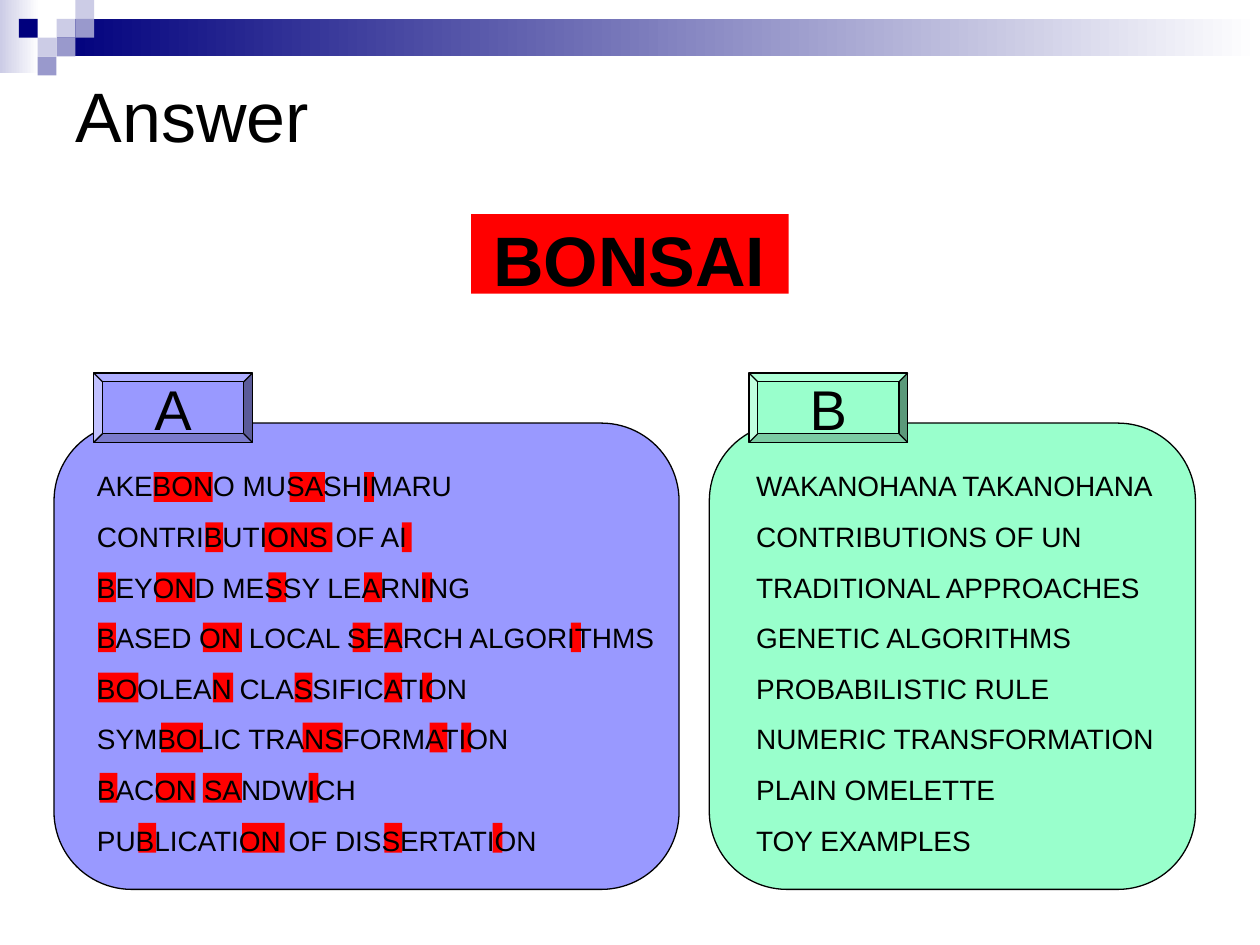
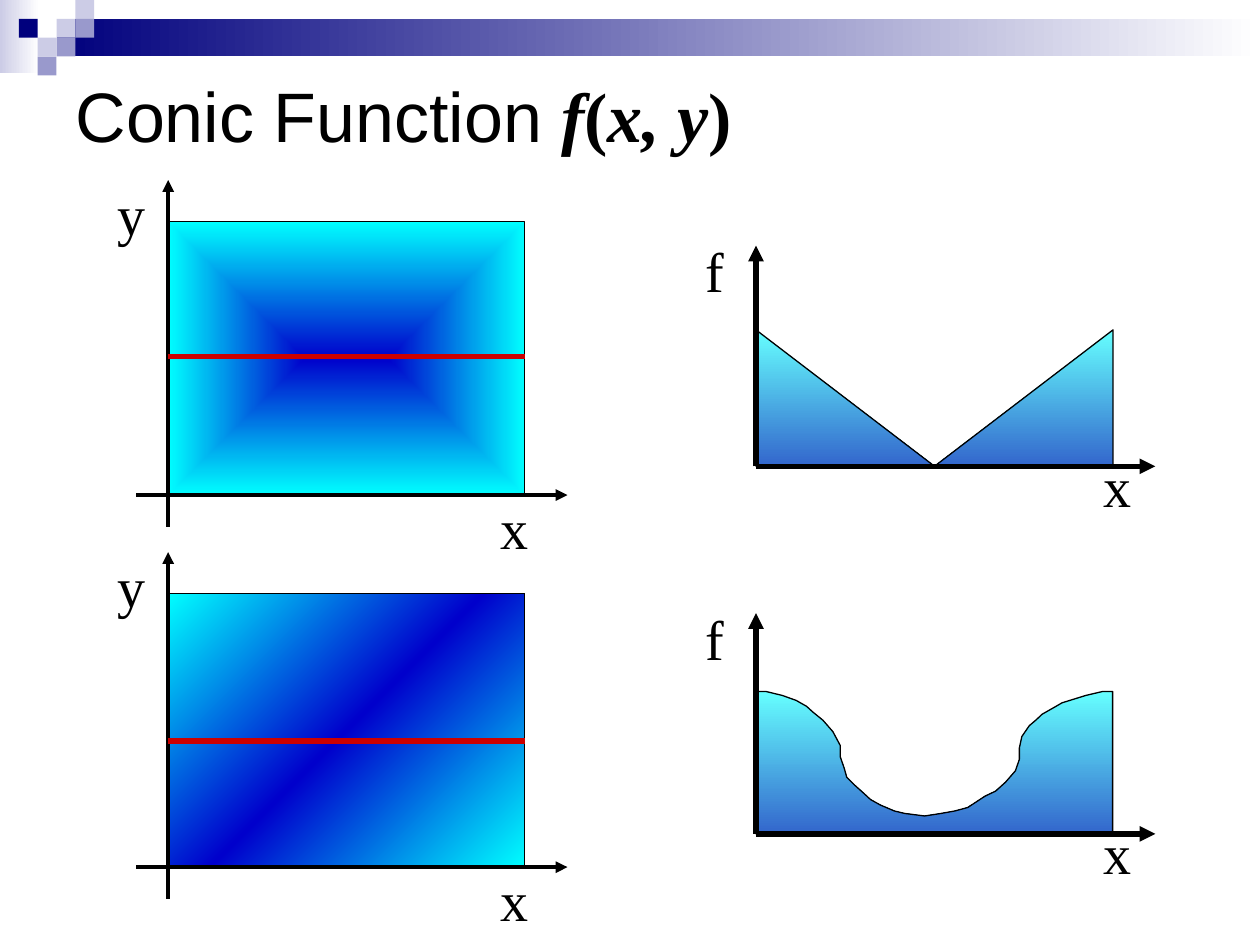
import pptx
import pptx.util
import pptx.dml.color
import pptx.enum.shapes
import pptx.enum.text
import pptx.oxml
import pptx.oxml.ns
from lxml import etree

Cm = pptx.util.Cm
Pt = pptx.util.Pt
qn = pptx.oxml.ns.qn
SHAPE = pptx.enum.shapes.MSO_SHAPE
ALIGN = pptx.enum.text.PP_ALIGN
ANCHOR = pptx.enum.text.MSO_ANCHOR

COLORS = {
    "black": "000000", "white": "FFFFFF", "navy": "00007D",
    "mist": "CCCCE6", "slate": "9999CC", "red": "FF0000",
    "violet": "9999FF", "mint": "99FFCC", "section": "CC0000",
    "low": "0000CC", "high": "00FFFF", "sky": "66FFFF", "sea": "3366CC",
}
SANS, SERIF = "Arial", "Times New Roman"

# Word lists of the puzzle
WORDS_A = ["AKEBONO MUSASHIMARU", "CONTRIBUTIONS OF AI",
           "BEYOND MESSY LEARNING", "BASED ON LOCAL SEARCH ALGORITHMS",
           "BOOLEAN CLASSIFICATION", "SYMBOLIC TRANSFORMATION",
           "BACON SANDWICH", "PUBLICATION OF DISSERTATION"]
WORDS_B = ["WAKANOHANA TAKANOHANA", "CONTRIBUTIONS OF UN",
           "TRADITIONAL APPROACHES", "GENETIC ALGORITHMS",
           "PROBABILISTIC RULE", "NUMERIC TRANSFORMATION",
           "PLAIN OMELETTE", "TOY EXAMPLES"]

# Marked letters: (left, width) in cm, one list per line of words
MARKS = [
    [(3.1, 1.19), (5.84, 0.71), (7.34, 0.2)],
    [(4.14, 0.36), (5.33, 1.37), (8.1, 0.2)],
    [(1.98, 0.36), (3.15, 0.79), (5.41, 0.36), (7.34, 0.36), (8.51, 0.2)],
    [(1.98, 0.36), (4.09, 0.79), (7.11, 0.36), (7.75, 0.36), (11.51, 0.2)],
    [(1.98, 0.81), (4.29, 0.41), (5.94, 0.36), (7.75, 0.36), (8.51, 0.2)],
    [(3.25, 0.84), (6.1, 0.81), (8.66, 0.36), (9.3, 0.2)],
    [(2.01, 0.36), (3.15, 0.79), (4.09, 0.79), (6.22, 0.2)],
    [(2.79, 0.36), (4.88, 0.86), (7.75, 0.36), (9.93, 0.2)],
]
MARK_TOP, MARK_PITCH, MARK_HEIGHT = 9.52, 1.01, 0.6

# Outline of the curved profile: (right of origin, above baseline) in cm
VALLEY = [
    (0, 0), (7.19, 0), (7.19, 2.87), (6.99, 2.87), (6.65, 2.79), (6.17, 2.64),
    (6.05, 2.57), (5.77, 2.41), (5.64, 2.29), (5.51, 2.18), (5.36, 1.96),
    (5.31, 1.73), (5.31, 1.5), (5.23, 1.27), (5.03, 1.04), (4.83, 0.86),
    (4.62, 0.76), (4.27, 0.53), (4.01, 0.46), (3.73, 0.41), (3.4, 0.36),
    (3, 0.41), (2.79, 0.46), (2.51, 0.58), (2.31, 0.69), (2.18, 0.81),
    (1.98, 0.99), (1.83, 1.14), (1.78, 1.32), (1.7, 1.55), (1.7, 1.78),
    (1.55, 2.06), (1.35, 2.29), (1.14, 2.46), (1.02, 2.57), (0.81, 2.69),
    (0.53, 2.79), (0.2, 2.87), (0, 2.87),
]


def rgb(name):
    return pptx.dml.color.RGBColor.from_string(COLORS[name])


def set_font(font, size, name=SANS, bold=None):
    font.size, font.name, font.bold = Pt(size), name, bold
    font.color.rgb = rgb("black")


def paint(sp, fill, outline=False):
    """Flat fill, with a thin black outline or none."""
    sp.shadow.inherit = False
    sp.fill.solid()
    sp.fill.fore_color.rgb = rgb(fill)
    if outline:
        sp.line.color.rgb = rgb("black")
        sp.line.width = Pt(0.75)
    else:
        sp.line.fill.background()


def shade(sp, names, angle=None):
    """Evenly spaced gradient: linear at an angle, or from the centre out."""
    spPr = sp._element.spPr
    grad = etree.Element(qn("a:gradFill"), rotWithShape="1")
    stops = etree.SubElement(grad, qn("a:gsLst"))
    for i, name in enumerate(names):
        gs = etree.SubElement(stops, qn("a:gs"),
                              pos=str(100000 * i // (len(names) - 1)))
        etree.SubElement(gs, qn("a:srgbClr"), val=COLORS[name])
    if angle is None:
        centre = etree.SubElement(grad, qn("a:path"), path="rect")
        etree.SubElement(centre, qn("a:fillToRect"),
                         dict.fromkeys("ltrb", "50000"))
    else:
        etree.SubElement(grad, qn("a:lin"), ang=str(angle * 60000), scaled="0")
    spPr.replace(spPr.find(qn("a:solidFill")), grad)


def add_box(s, kind, left, top, width, height, fill, outline=False):
    sp = s.shapes.add_shape(kind, Cm(left), Cm(top), Cm(width), Cm(height))
    paint(sp, fill, outline)
    return sp


def add_text(s, text, left, top, width, height, size, name=SANS, bold=None,
             align=ALIGN.LEFT):
    sp = s.shapes.add_textbox(Cm(left), Cm(top), Cm(width), Cm(height))
    tf = sp.text_frame
    tf.word_wrap = True
    p = tf.paragraphs[0]
    p.text, p.alignment = text, align
    set_font(p.font, size, name, bold)
    return p


def add_label(s, text, left, top, align=ALIGN.CENTER):
    add_text(s, text, left, top, 1.07, 1.63, 32, SERIF, align=align)


def add_line(s, x1, y1, x2, y2, width, color="black", arrow=True):
    ln = s.shapes.add_connector(pptx.enum.shapes.MSO_CONNECTOR.STRAIGHT,
                                Cm(x1), Cm(y1), Cm(x2), Cm(y2))
    ln.line.color.rgb = rgb(color)
    ln.line.width = Pt(width)
    if arrow:
        etree.SubElement(ln.line._get_or_add_ln(), qn("a:tailEnd"),
                         type="triangle")
    etree.SubElement(ln._element.spPr, qn("a:effectLst"))


def decorate_master(prs, s):
    """Draw the band and squares on a slide, then move them to the master."""
    side = 0.38
    corner = add_box(s, SHAPE.RECTANGLE, 0, 0, 0.79, 1.47, "mist")
    shade(corner, ["white", "mist"], 180)
    band = add_box(s, SHAPE.RECTANGLE, 3 * side, side, 24.26, 2 * side, "navy")
    shade(band, ["white", "navy"], 180)
    squares = [add_box(s, SHAPE.RECTANGLE, col * side, row * side, side, side, c)
               for col, row, c in [(3, 1, "mist"), (4, 0, "mist"),
                                   (4, 1, "slate"), (2, 2, "mist"),
                                   (1, 1, "navy"), (3, 2, "slate"),
                                   (2, 3, "slate")]]
    tree = prs.slide_master.shapes._spTree
    for i, sp in enumerate([corner, band] + squares):
        tree.insert(2 + i, sp._element)


def set_title(s, text):
    sp = s.shapes.title
    sp.left, sp.top, sp.width, sp.height = Cm(1.27), Cm(1.27), Cm(22.86), Cm(2.06)
    tf = sp.text_frame
    tf.text = text
    tf.vertical_anchor = ANCHOR.MIDDLE
    tf.auto_size = pptx.enum.text.MSO_AUTO_SIZE.NONE
    p = tf.paragraphs[0]
    p.alignment = ALIGN.LEFT
    set_font(p.font, 40)
    return p


def add_panel(s, letter, left, width, fill):
    """Rounded panel with a lettered bevel tab on its top edge."""
    add_box(s, SHAPE.ROUNDED_RECTANGLE, left, 8.53, width, 9.4, fill, True)
    tab = add_box(s, SHAPE.BEVEL, left + 0.8, 7.52, 3.2, 1.4, fill, True)
    tf = tab.text_frame
    tf.word_wrap = False
    tf.vertical_anchor = ANCHOR.MIDDLE
    p = tf.paragraphs[0]
    p.text, p.alignment = letter, ALIGN.CENTER
    set_font(p.font, 32)


def fill_list(s, ph, words, left, width):
    """Put a word list in a body placeholder, above everything drawn so far."""
    ph.left, ph.top, ph.width, ph.height = Cm(left), Cm(9.12), Cm(width), Cm(8.9)
    tf = ph.text_frame
    tf.text = "\n".join(words)
    tf.auto_size = pptx.enum.text.MSO_AUTO_SIZE.NONE
    for p in tf.paragraphs:
        p.line_spacing, p.space_before = 1.3, Pt(4)
        set_font(p.font, 16)
        p._p.get_or_add_pPr().insert_element_before(
            etree.Element(qn("a:buNone")), "a:tabLst", "a:defRPr", "a:extLst")
    s.shapes._spTree.append(ph._element)


def add_map(s, bottom, section, names, angle=None):
    """Shaded x-y plane with axes; section is the red line's height."""
    left, width, height = 3.39, 7.19, 5.51
    plane = add_box(s, SHAPE.RECTANGLE, left, bottom - height, width, height,
                    "low", True)
    shade(plane, names, angle)
    add_line(s, left - 0.64, bottom, left + 8.05, bottom, 2.25)
    add_line(s, left, bottom + 0.64, left, bottom - 6.35, 2.25)
    add_label(s, "x", left + 6.45, bottom - 0.15)
    add_label(s, "y", left - 1.27, bottom - 6.48)
    add_line(s, left, bottom - section, left + width, bottom - section, 3,
             "section", arrow=False)


def add_wedges(s, left, base):
    """Two right triangles that meet at the baseline."""
    width, height = 3.6, 2.75
    for i in range(2):
        sp = add_box(s, SHAPE.RIGHT_TRIANGLE, left + i * width, base - height,
                     width, height, "sky", True)
        shade(sp, ["sky", "sea"], 90)
    sp._element.spPr.find(qn("a:xfrm")).set("flipH", "1")


def add_valley(s, left, base):
    points = [(Cm(left + x), Cm(base - y)) for x, y in VALLEY]
    builder = s.shapes.build_freeform(*points[0])
    builder.add_line_segments(points[1:], close=True)
    sp = builder.convert_to_shape()
    paint(sp, "sky", True)
    shade(sp, ["sky", "sea"], 90)


def add_profile(s, base, draw_area):
    left = 15.24
    draw_area(s, left, base)
    add_line(s, left, base, left, base - 4.45, 3)
    add_line(s, left, base, left + 8.05, base, 3)
    add_label(s, "x", left + 6.76, base - 0.43, ALIGN.LEFT)
    add_label(s, "f", left - 1.27, base - 4.75, ALIGN.LEFT)


def build_answer(s):
    set_title(s, "Answer")
    add_box(s, SHAPE.RECTANGLE, 9.5, 4.32, 6.4, 1.6, "red")
    add_text(s, "BONSAI", 9.7, 3.73, 6.4, 2.59, 40, bold=True).line_spacing = 1.3
    add_panel(s, "A", 1.09, 12.6, "violet")
    add_panel(s, "B", 14.3, 9.8, "mint")
    for row, marks in enumerate(MARKS):
        for left, width in marks:
            add_box(s, SHAPE.RECTANGLE, left, MARK_TOP + row * MARK_PITCH,
                    width, MARK_HEIGHT, "red")
    fill_list(s, s.placeholders[1], WORDS_A, 1.7, 12.01)
    fill_list(s, s.placeholders[2], WORDS_B, 14.99, 8.92)


def build_conic(s):
    p = set_title(s, "Conic Function ")
    for text, italic in [("f", True), ("(", False), ("x, y", True), (")", False)]:
        r = p.add_run()
        r.text = text
        r.font.name, r.font.bold, r.font.italic = SERIF, True, italic
    add_map(s, 9.98, 2.79, ["low", "high"])
    add_map(s, 17.48, 2.54, ["high", "low", "high"], 225)
    add_profile(s, 9.4, add_wedges)
    add_profile(s, 16.81, add_valley)


def main():
    prs = pptx.Presentation()
    prs.slide_width, prs.slide_height = Cm(25.4), Cm(19.05)
    answer = prs.slides.add_slide(prs.slide_layouts.get_by_name("Two Content"))
    conic = prs.slides.add_slide(prs.slide_layouts.get_by_name("Title Only"))
    decorate_master(prs, answer)
    build_answer(answer)
    build_conic(conic)
    prs.save("out.pptx")


if __name__ == "__main__":
    main()
